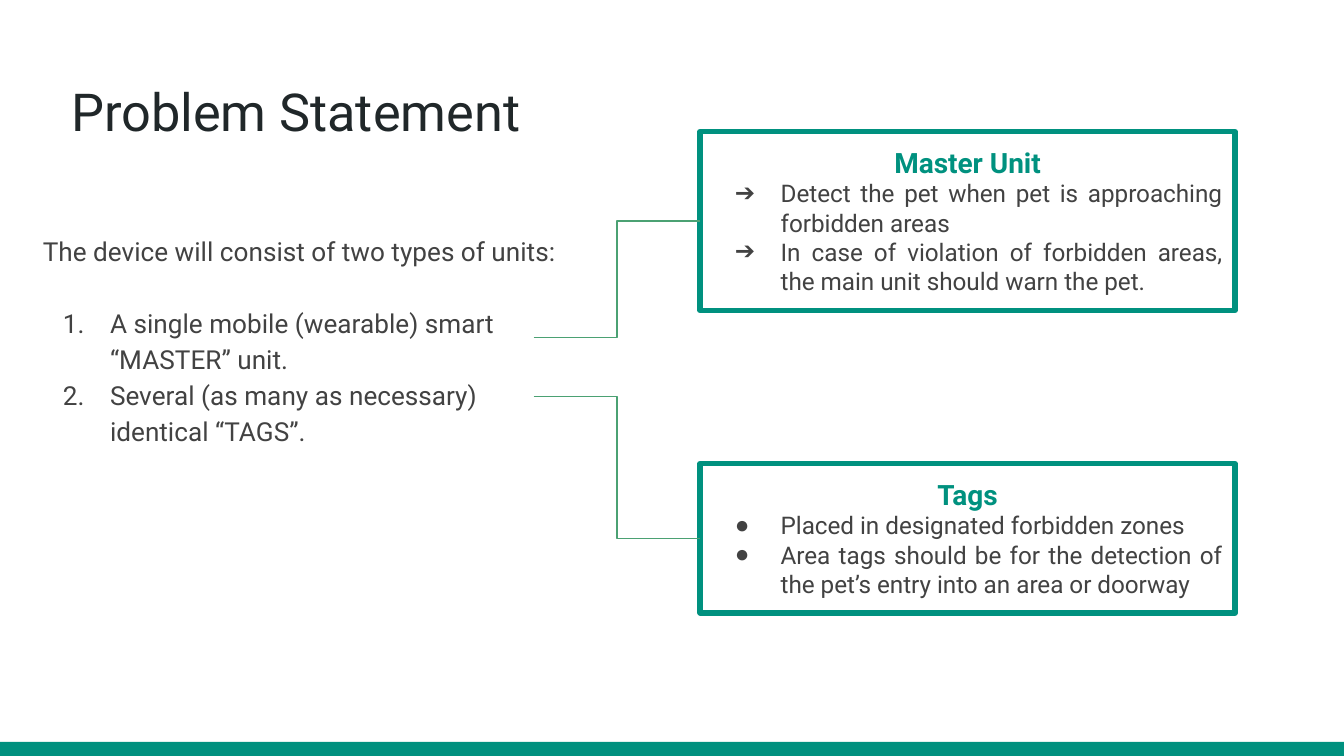
from dataclasses import dataclass

from lxml.etree import SubElement
from pptx import Presentation
from pptx.dml.color import RGBColor
from pptx.enum.shapes import MSO_CONNECTOR, MSO_SHAPE
from pptx.enum.text import MSO_ANCHOR, MSO_AUTO_SIZE, PP_ALIGN
from pptx.oxml.ns import qn
from pptx.util import Inches, Pt


@dataclass(frozen=True)
class Theme:
    """Colours, fonts and type sizes of the deck."""

    teal: str = "00917F"
    green: str = "4BA173"
    ink: str = "202729"
    body: str = "424242"
    font: str = "Roboto"
    dot_font: str = "Arial"
    title_size: int = 28
    intro_size: int = 14
    heading_size: int = 15
    item_size: int = 13


def write(frame, text, *, font, size, color, bold=False, align=PP_ALIGN.LEFT,
          bullet=None, bullet_font=None, numbered=False, hanging=0.35,
          spacing=1.0, before=0):
    """Add one formatted paragraph, filling the empty first one if there is one."""
    first = frame.paragraphs[0]
    paragraph = frame.add_paragraph() if first.runs else first
    if bullet or numbered:
        properties = paragraph._p.get_or_add_pPr()
        properties.set("marL", str(Inches(0.5)))
        properties.set("indent", str(-Inches(hanging)))
        bullet_color = SubElement(properties, qn("a:buClr"))
        SubElement(bullet_color, qn("a:srgbClr"), val=color)
        SubElement(properties, qn("a:buFont"), typeface=bullet_font or font)
        if numbered:
            SubElement(properties, qn("a:buAutoNum"), type="arabicPeriod")
        else:
            SubElement(properties, qn("a:buChar"), char=bullet)
    paragraph.alignment = align
    paragraph.line_spacing = spacing
    paragraph.space_before = Pt(before)
    run = paragraph.add_run()
    run.text = text
    run.font.name = font
    run.font.size = Pt(size)
    run.font.bold = bold
    run.font.color.rgb = RGBColor.from_string(color)


class UnitSlide:
    """Holds the theme and the current slide."""

    def __init__(self, presentation, theme):
        self.theme = theme
        self.slide = presentation.slides.add_slide(presentation.slide_layouts[5])

    def prepare(self, frame, auto_size=MSO_AUTO_SIZE.SHAPE_TO_FIT_TEXT):
        """Set the wrapping, anchor and margins of a text frame."""
        frame.word_wrap = True
        frame.auto_size = auto_size
        frame.vertical_anchor = MSO_ANCHOR.TOP
        frame.margin_left = frame.margin_right = Inches(0.1)
        frame.margin_top = frame.margin_bottom = Inches(0.1)
        return frame

    def rectangle(self, left, top, width, height):
        """Add a plain rectangle without a shadow."""
        shape = self.slide.shapes.add_shape(
            MSO_SHAPE.RECTANGLE, Inches(left), Inches(top), Inches(width), Inches(height))
        shape.shadow.inherit = False
        return shape

    def footer_bar(self, left, top, width, height):
        """Add the solid bar along the bottom edge."""
        bar = self.rectangle(left, top, width, height)
        bar.fill.solid()
        bar.fill.fore_color.rgb = RGBColor.from_string(self.theme.teal)
        bar.line.fill.background()

    def title(self, text, left, top, width, height):
        """Place and fill the title placeholder."""
        title = self.slide.shapes.title
        title.left, title.top = Inches(left), Inches(top)
        title.width, title.height = Inches(width), Inches(height)
        write(self.prepare(title.text_frame, MSO_AUTO_SIZE.NONE), text,
              font=self.theme.font, size=self.theme.title_size, color=self.theme.ink)

    def numbered_list(self, intro, items, left, top, width, height):
        """Add an introduction followed by numbered items."""
        box = self.slide.shapes.add_textbox(
            Inches(left), Inches(top), Inches(width), Inches(height))
        frame = self.prepare(box.text_frame)
        style = dict(font=self.theme.font, size=self.theme.intro_size,
                     color=self.theme.body, spacing=1.15)
        write(frame, intro, align=PP_ALIGN.JUSTIFY, **style)
        for index, item in enumerate(items):
            write(frame, item, numbered=True, before=0 if index else 19, **style)

    def unit_card(self, heading, bullet, bullet_font, items, left, top, width, height):
        """Add an outlined card with a heading and bulleted items."""
        card = self.rectangle(left, top, width, height)
        card.fill.background()
        card.line.color.rgb = RGBColor.from_string(self.theme.teal)
        card.line.width = Pt(3)
        frame = self.prepare(card.text_frame)
        write(frame, heading, font=self.theme.font, size=self.theme.heading_size,
              color=self.theme.teal, bold=True, align=PP_ALIGN.CENTER)
        for item in items:
            write(frame, item, font=self.theme.font, size=self.theme.item_size,
                  color=self.theme.body, align=PP_ALIGN.JUSTIFY, bullet=bullet,
                  bullet_font=bullet_font, hanging=0.34)

    def link(self, start, end):
        """Join two points with an elbow connector."""
        connector = self.slide.shapes.add_connector(
            MSO_CONNECTOR.ELBOW, *map(Inches, start + end))
        connector.line.color.rgb = RGBColor.from_string(self.theme.green)
        connector.line.width = Pt(0.75)
        SubElement(connector._element.spPr, qn("a:effectLst"))


def main():
    """Build and save the problem statement slide."""
    presentation = Presentation()
    presentation.slide_width = Inches(10)
    presentation.slide_height = presentation.slide_width * 9 // 16
    theme = Theme()
    page = UnitSlide(presentation, theme)
    page.footer_bar(0, 5.52, 10, 0.11)
    page.title("Problem Statement", 0.43, 0.49, 9.32, 0.63)
    page.numbered_list(
        "The device will consist of two types of units:",
        ["A single mobile (wearable) smart “MASTER” unit.",
         "Several (as many as necessary) identical “TAGS”."],
        0.22, 1.62, 4.09, 1.79)

    card_left, card_width = 5.21, 3.98
    units = [
        ("Master Unit", "➔", theme.font,
         ["Detect the pet when pet is approaching forbidden areas",
          "In case of violation of forbidden areas, the main unit should warn the pet."],
         0.98, 1.33, 2.51),
        ("Tags", "●", theme.dot_font,
         ["Placed in designated forbidden zones",
          "Area tags should be for the detection of the pet’s entry into an area or doorway"],
         3.45, 1.11, 2.95),
    ]
    for heading, bullet, bullet_font, duties, top, height, item_y in units:
        page.unit_card(heading, bullet, bullet_font, duties,
                       card_left, top, card_width, height)
        page.link((3.97, item_y), (card_left, top + height / 2))
    presentation.save("out.pptx")


if __name__ == "__main__":
    main()
